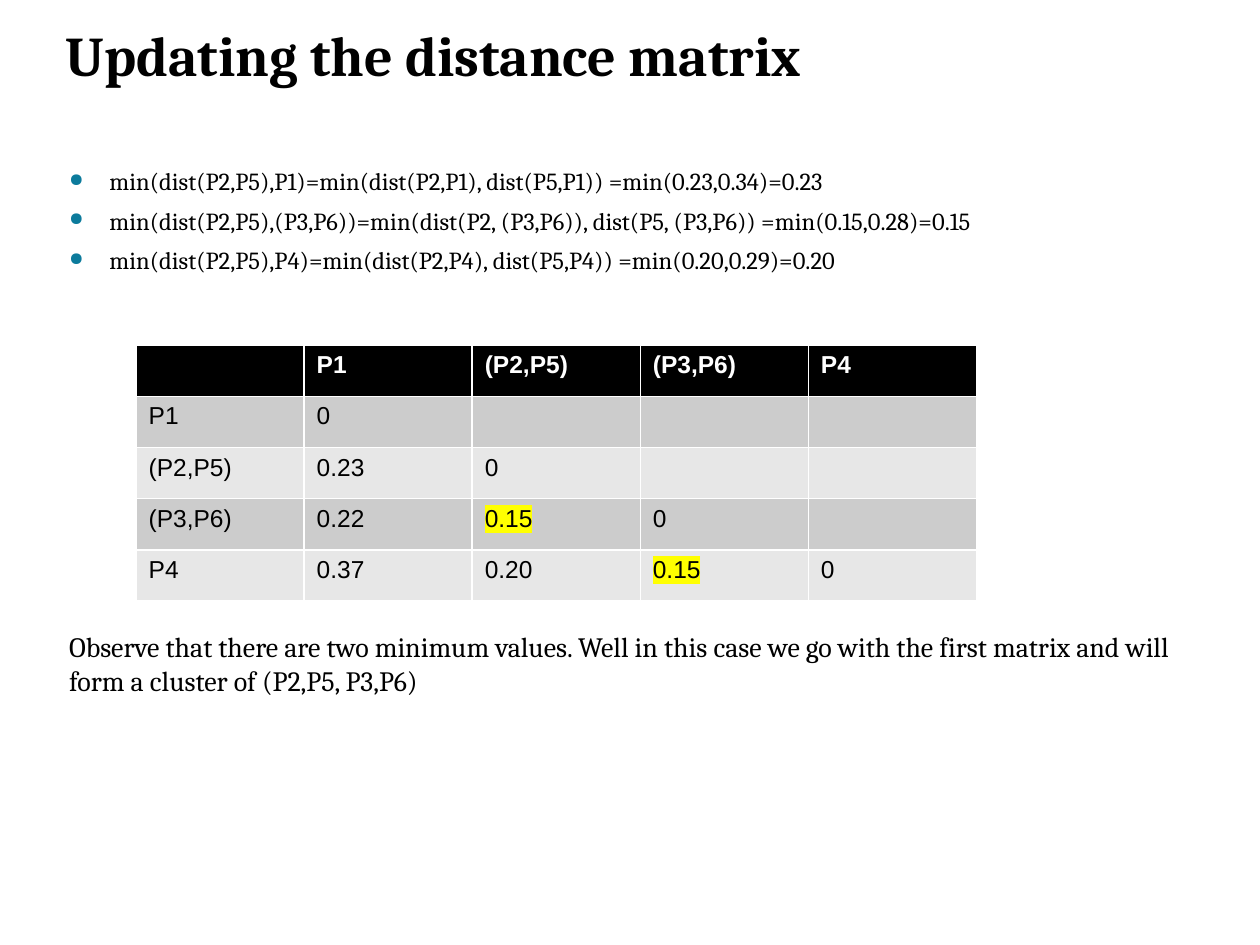
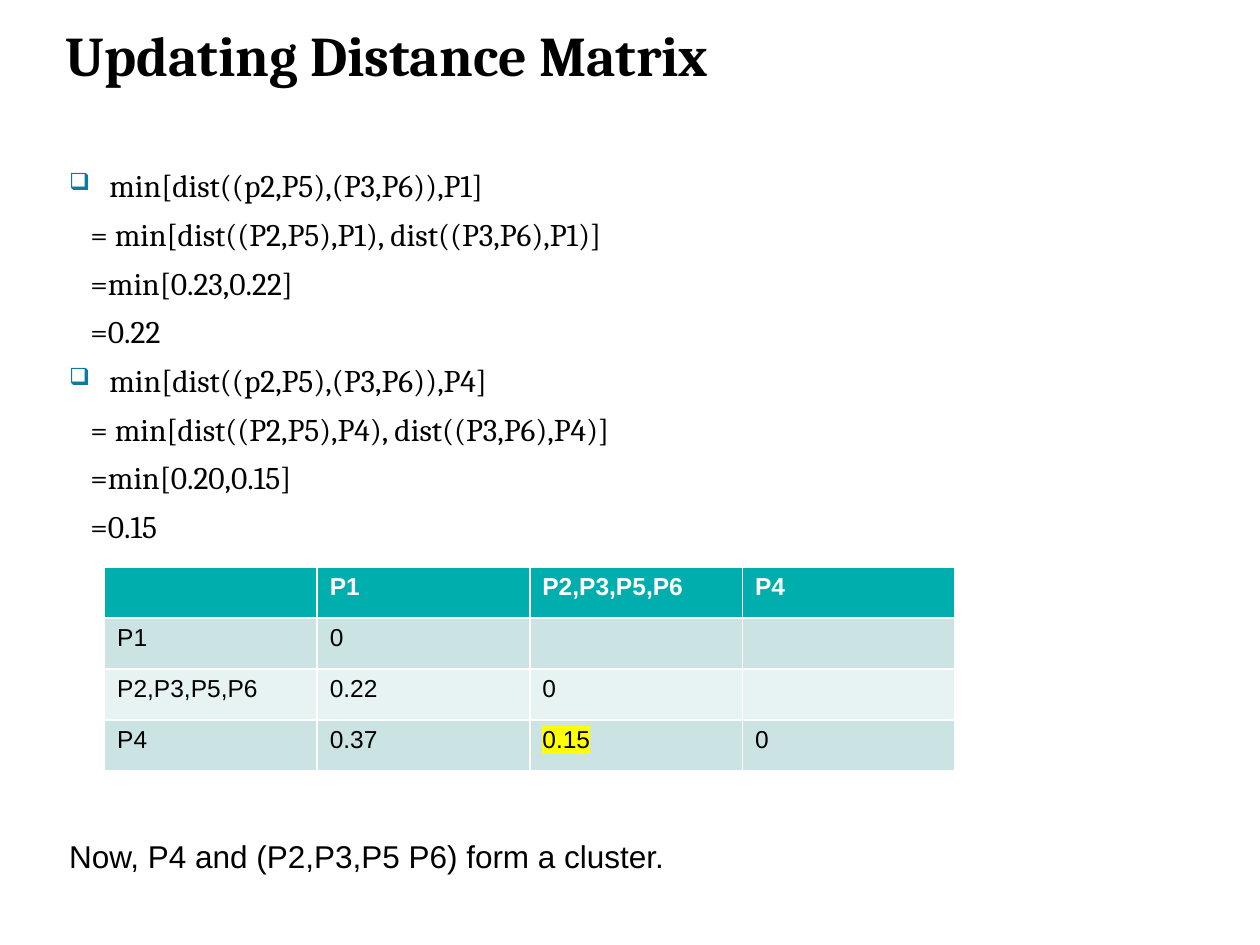
from dataclasses import dataclass

from lxml.etree import SubElement
from pptx import Presentation
from pptx.dml.color import RGBColor
from pptx.enum.text import MSO_ANCHOR as Anchor, MSO_AUTO_SIZE as Fit, PP_ALIGN as Align
from pptx.oxml.ns import qn
from pptx.util import Inches, Pt

BLACK, WHITE, TEAL, YELLOW = "000000", "FFFFFF", "0C7B9C", "FFFF00"
SERIF, SANS = "Cambria", "Arial"
HANG, STEP = 0.32, 0.17


@dataclass
class Line:
    text: str
    bullet: str = ""


@dataclass
class Box:
    left: float
    top: float
    width: float
    height: float

    def dims(self) -> list:
        return [Inches(v) for v in (self.left, self.top, self.width, self.height)]


@dataclass
class Note:
    text: str
    box: Box
    size: int
    face: str


@dataclass
class Grid:
    box: Box
    names: list[str]
    rows: list[list[str]]
    fills: tuple[str, str, str]  # header, odd rows, even rows
    marks: set[tuple[int, int]]


@dataclass
class Page:
    title: str
    lines: list[Line]
    size: int
    grid: Grid
    note: Note


def tint(code: str) -> RGBColor:
    return RGBColor.from_string(code)


def write(para, text: str, size: int, face: str, color: str = BLACK, bold: bool = False):
    run = para.add_run()
    run.text = text
    for key, value in {"size": Pt(size), "name": face, "bold": bold}.items():
        setattr(run.font, key, value)
    run.font.color.rgb = tint(color)
    return run


def mark(run) -> None:
    """Highlight a run in yellow."""
    fill = run.font._element.find(qn("a:solidFill"))
    glow = fill.makeelement(qn("a:highlight"), {})
    SubElement(glow, qn("a:srgbClr"), val=YELLOW)
    fill.addnext(glow)


def indent(para, line: Line) -> None:
    props = para._p.get_or_add_pPr()
    left = HANG if line.bullet else STEP
    props.set("marL", str(Inches(left)))
    props.set("indent", str(Inches(-HANG if line.bullet else 0)))
    if line.bullet:
        color = SubElement(props, qn("a:buClr"))
        SubElement(color, qn("a:srgbClr"), val=TEAL)
        SubElement(props, qn("a:buSzPct"), val="75000")
        SubElement(props, qn("a:buChar"), char=line.bullet)


def add_title(slide, text: str) -> None:
    shape = slide.shapes.title
    box = Box(0.42, 0.17, 9.06, 0.58)
    for key, value in zip(("left", "top", "width", "height"), box.dims()):
        setattr(shape, key, value)
    frame = shape.text_frame
    for key, value in {"vertical_anchor": Anchor.BOTTOM, "auto_size": Fit.NONE,
                       "word_wrap": True}.items():
        setattr(frame, key, value)
    para = frame.paragraphs[0]
    para.alignment, para.line_spacing = Align.LEFT, Pt(36)
    write(para, text, 32, SERIF, bold=True)


def add_frame(slide, box: Box):
    frame = slide.shapes.add_textbox(*box.dims()).text_frame
    frame.word_wrap = True
    return frame


def add_lines(slide, lines: list[Line], size: int) -> None:
    frame = add_frame(slide, Box(0.45, 1.27, 9.1, 0.4 * len(lines)))
    for pos, line in enumerate(lines):
        para = frame.add_paragraph() if pos else frame.paragraphs[0]
        para.space_before = Pt(round(size * 0.12, 1) if pos else 0)
        para.space_after = Pt(4)
        indent(para, line)
        write(para, line.text, size, SERIF)


def add_grid(slide, grid: Grid) -> None:
    count = len(grid.names)
    table = slide.shapes.add_table(count + 1, count + 1, *grid.box.dims()).table
    head, odd, even = grid.fills
    cells = [["", *grid.names]]
    cells += [[name, *row] for name, row in zip(grid.names, grid.rows)]
    for r, row in enumerate(cells):
        row += [""] * (count + 1 - len(row))
        for c, text in enumerate(row):
            cell = table.cell(r, c)
            cell.fill.solid()
            cell.fill.fore_color.rgb = tint(head if r == 0 else odd if r % 2 else even)
            if text:
                run = write(cell.text_frame.paragraphs[0], text, 14, SANS,
                            BLACK if r else WHITE, bold=r == 0)
                if (r, c) in grid.marks:
                    mark(run)


def add_note(slide, note: Note) -> None:
    frame = add_frame(slide, note.box)
    write(frame.paragraphs[0], note.text, note.size, note.face)


def proof(point: str, left: str, right: str, least: str) -> list[Line]:
    """Steps that find the distance from the merged cluster to a point."""
    return [
        Line(f"min[dist((p2,P5),(P3,P6)),{point}]", "❑"),
        Line(f"= min[dist((P2,P5),{point}), dist((P3,P6),{point})]"),
        Line(f"=min[{left},{right}]"),
        Line(f"={least}"),
    ]


PAGES = [
    Page(
        "Updating the distance matrix",
        [Line(text, "●") for text in (
            "min(dist(P2,P5),P1)=min(dist(P2,P1), dist(P5,P1)) =min(0.23,0.34)=0.23",
            "min(dist(P2,P5),(P3,P6))=min(dist(P2, (P3,P6)), dist(P5, (P3,P6)) "
            "=min(0.15,0.28)=0.15",
            "min(dist(P2,P5),P4)=min(dist(P2,P4), dist(P5,P4)) =min(0.20,0.29)=0.20",
        )],
        14,
        Grid(
            Box(1.08, 2.74, 6.67, 2.03),
            ["P1", "(P2,P5)", "(P3,P6)", "P4"],
            [["0"], ["0.23", "0"], ["0.22", "0.15", "0"], ["0.37", "0.20", "0.15", "0"]],
            (BLACK, "CCCCCC", "E7E7E7"),
            {(3, 2), (4, 3)},
        ),
        Note("Observe that there are two minimum values. Well in this case we go with "
             "the first matrix and will form a cluster of (P2,P5, P3,P6)",
             Box(0.45, 4.95, 9.38, 0.65), 16, SERIF),
    ),
    Page(
        "Updating Distance Matrix",
        proof("P1", "0.23", "0.22", "0.22") + proof("P4", "0.20", "0.15", "0.15"),
        18,
        Grid(
            Box(0.83, 4.5, 6.75, 1.62),
            ["P1", "P2,P3,P5,P6", "P4"],
            [["0"], ["0.22", "0"], ["0.37", "0.15", "0"]],
            ("00AEAE", "CCE3E3", "E7F2F2"),
            {(3, 2)},
        ),
        Note("Now, P4 and (P2,P3,P5 P6) form a cluster.",
             Box(0.45, 6.59, 9.1, 0.4), 18, SANS),
    ),
]


def main() -> None:
    deck = Presentation()
    deck.slide_width, deck.slide_height = Inches(10), Inches(7.5)
    for page in PAGES:
        slide = deck.slides.add_slide(deck.slide_layouts[5])
        add_title(slide, page.title)
        add_lines(slide, page.lines, page.size)
        add_grid(slide, page.grid)
        add_note(slide, page.note)
    deck.save("out.pptx")


if __name__ == "__main__":
    main()
